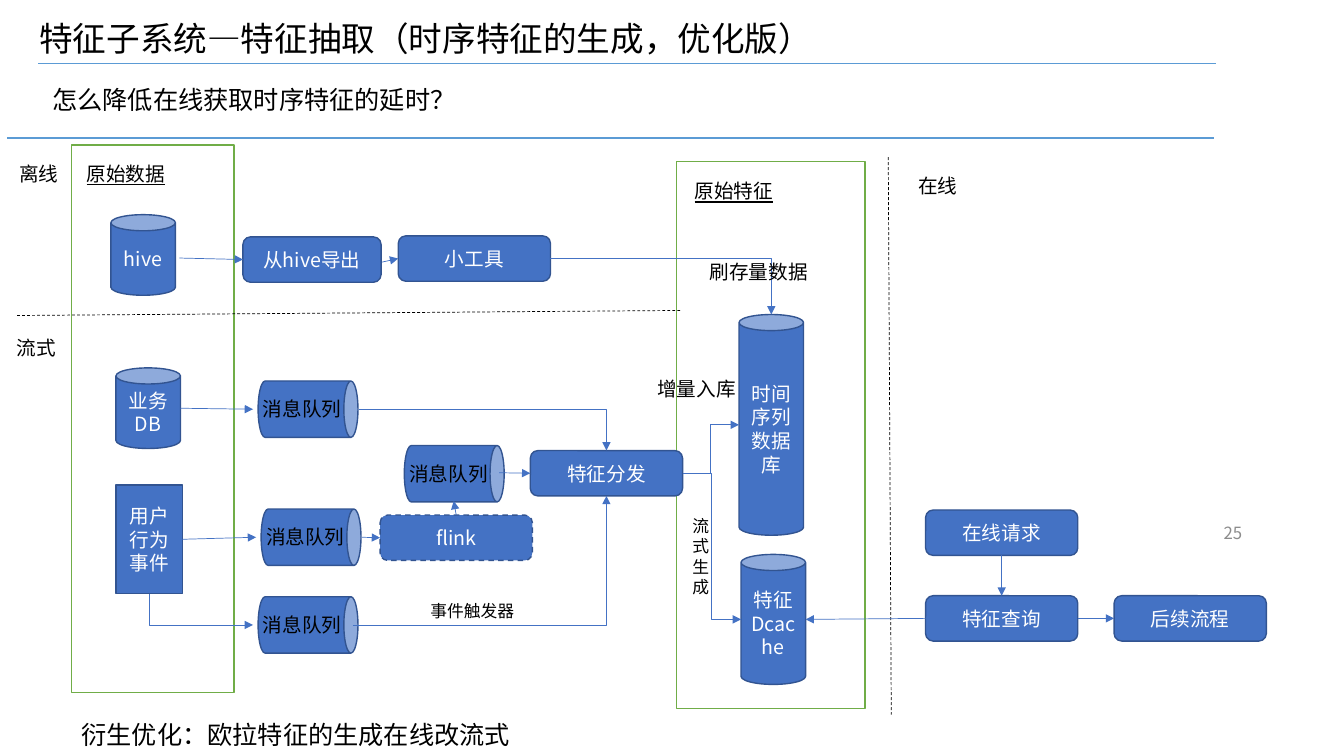
from dataclasses import dataclass

from lxml import etree
from pptx import Presentation
from pptx import util as u
from pptx.dml.color import RGBColor
from pptx.enum import dml, shapes, text
from pptx.oxml import ns

KIND = shapes.MSO_SHAPE
TOP, LEFT, BOTTOM, RIGHT = range(4)


class Theme:
    font = "Noto Sans CJK SC"
    white, black, grey = "FFFFFF", "000000", "8C8C8C"
    blue, outline, green, rule = "4472C4", "325491", "70AD47", "5B9BD5"
    title, lead, body, small = 24, 18, 14, 12
    border, flow = 1, 0.5
    box_size = (1.51, 0.45)
    can_size = (0.64, 0.8)


@dataclass
class Region:
    """A box on the slide, in inches; parts are placed from its top left."""
    slide: object
    left: float
    top: float
    width: float = 0
    height: float = 0

    def place(self, x, y, width, height):
        return [u.Inches(v) for v in (self.left + x, self.top + y, width, height)]


def style_line(line, color, width, dashed=False):
    line.color.rgb = RGBColor.from_string(color)
    line.width = u.Pt(width)
    if dashed:
        line.dash_style = dml.MSO_LINE.DASH


def write(frame, words, size, color, align, underline=None):
    paragraph = frame.paragraphs[0]
    paragraph.alignment = align
    run = paragraph.add_run()
    run.text = words
    font = run.font
    font.size, font.name, font.underline = u.Pt(size), Theme.font, underline
    font.color.rgb = RGBColor.from_string(color)
    east_asian = etree.SubElement(font._element, ns.qn("a:ea"))
    east_asian.set("typeface", Theme.font)


def add_label(region, words, x, y, width, height=0.34, size=Theme.body, wrap=False,
              underline=None, color=Theme.black, align=text.PP_ALIGN.LEFT, shapes_in=None):
    target = region.slide.shapes if shapes_in is None else shapes_in
    label = target.add_textbox(*region.place(x, y, width, height))
    label.text_frame.word_wrap = wrap
    label.text_frame.auto_size = text.MSO_AUTO_SIZE.SHAPE_TO_FIT_TEXT
    write(label.text_frame, words, size, color, align, underline)
    return label


def add_block(region, kind, x, y, size, words="", fill=Theme.blue,
              outline=Theme.outline, dashed=False, shapes_in=None):
    target = region.slide.shapes if shapes_in is None else shapes_in
    shape = target.add_shape(kind, *region.place(x, y, *size))
    shape.shadow.inherit = False
    shape.fill.solid()
    shape.fill.fore_color.rgb = RGBColor.from_string(fill)
    style_line(shape.line, outline, Theme.border, dashed)
    if words:
        shape.text_frame.word_wrap = True
        shape.text_frame.vertical_anchor = text.MSO_ANCHOR.MIDDLE
        write(shape.text_frame, words, Theme.body, Theme.white, text.PP_ALIGN.CENTER)
    return shape


def add_step(region, x, y, words, width=Theme.box_size[0], dashed=False):
    return add_block(region, KIND.ROUNDED_RECTANGLE, x, y,
                     (width, Theme.box_size[1]), words, dashed=dashed)


def add_queue(region, x, y):
    """A can lying on its side, 0.99 by 0.56, with its label."""
    group = region.slide.shapes.add_group_shape().shapes
    can = add_block(region, KIND.CAN, x + 0.215, y - 0.215, (0.56, 0.99), shapes_in=group)
    can.rotation = 90
    add_label(region, "消息队列", x - 0.05, y + 0.11, 0.99, shapes_in=group)


def add_line(slide, start, end, color, width, dashed=False,
             kind=shapes.MSO_CONNECTOR.STRAIGHT):
    points = [u.Inches(v) for v in (*start, *end)]
    line = slide.shapes.add_connector(kind, *points)
    style_line(line.line, color, width, dashed)
    etree.SubElement(line._element.spPr, ns.qn("a:effectLst"))
    return line


def middle(shape, side):
    """Middle of a shape's side, in inches."""
    x = shape.left + shape.width * {LEFT: 0, RIGHT: 1}.get(side, 0.5)
    y = shape.top + shape.height * {TOP: 0, BOTTOM: 1}.get(side, 0.5)
    return u.Emu(int(x)).inches, u.Emu(int(y)).inches


def add_arrow(slide, start, end, bends=0, down_first=False):
    """Arrow between two ends, each a point or a (shape, side) pair."""
    joined = [not isinstance(e[0], (int, float)) for e in (start, end)]
    points = [middle(*e) if j else e for e, j in zip((start, end), joined)]
    kind = shapes.MSO_CONNECTOR.ELBOW if bends else shapes.MSO_CONNECTOR.STRAIGHT
    arrow = add_line(slide, *points, Theme.blue, Theme.flow, kind=kind)
    line = arrow.line._get_or_add_ln()
    etree.SubElement(line, ns.qn("a:tailEnd")).set("type", "triangle")
    if not bends:
        for end_, j, glue in zip((start, end), joined,
                                 (arrow.begin_connect, arrow.end_connect)):
            if j and end_[0].auto_shape_type != KIND.CAN:
                glue(*end_)
    if bends == 1:
        arrow._element.spPr.find(ns.qn("a:prstGeom")).set("prst", "bentConnector2")
    if down_first:
        width, height = arrow.width, arrow.height
        shift = (width - height) // 2
        arrow.left, arrow.top = arrow.left + shift, arrow.top - shift
        arrow.width, arrow.height = height, width
        transform = arrow._element.spPr.find(ns.qn("a:xfrm"))
        transform.set("rot", str(270 * 60000))
        transform.set("flipH", "1")


def draw_header(region):
    for x, y, length in ((0.38, 0.63, 11.68), (0.07, 1.37, 11.97)):
        x, y = region.left + x, region.top + y
        add_line(region.slide, (x, y), (x + length, y), Theme.rule, Theme.border)
    add_label(region, "特征子系统—特征抽取（时序特征的生成，优化版）",
              0.29, 0.13, 10.58, 0.5, Theme.title, wrap=True)
    add_label(region, "怎么降低在线获取时序特征的延时？", 0.42, 0.79, 4.24, 0.71, Theme.lead)


def draw_frame(region, heading, x, y):
    add_block(region, KIND.RECTANGLE, 0, 0, (region.width, region.height),
              fill=Theme.white, outline=Theme.green)
    add_label(region, heading, x, y, 0.99, underline=True)


def draw_sources(region):
    draw_frame(region, "原始数据", 0.05, 0.12)
    add_block(region, KIND.CAN, 0.39, 0.69, Theme.can_size, "hive")
    database = add_block(region, KIND.CAN, 0.44, 2.21, Theme.can_size, "业务DB")
    events = add_block(region, KIND.RECTANGLE, 0.44, 3.37, (0.66, 1.08), "用户行为事件")
    return database, events


def draw_features(region):
    draw_frame(region, "原始特征", 0.08, 0.13)
    series = add_block(region, KIND.CAN, 0.62, 1.52, (0.64, 2.19), "时间序列数据库")
    cache = add_block(region, KIND.CAN, 0.64, 3.9, (0.64, 1.29), "特征Dcache")
    return series, cache


def draw_offline(region, series):
    slide = region.slide
    add_label(region, "离线", 0.02, 0.12, 0.59)
    export = add_step(region, 2.34, 0.91, "从hive导出", width=1.37)
    tool = add_step(region, 3.88, 0.9, "小工具")
    add_arrow(slide, (1.78, 2.56), (export, LEFT))
    add_arrow(slide, (3.79, 2.6), (tool, LEFT))
    add_arrow(slide, (tool, RIGHT), (series, TOP), bends=1)
    add_label(region, "刷存量数据", 6.87, 1.09, 1.22)
    add_line(slide, (0.17, 3.13), (6.75, 3.08), Theme.black, Theme.flow, dashed=True)


def draw_streaming(region, database, events, series, cache):
    slide = region.slide
    add_label(region, "流式", 0, 0.2, 0.59)
    for x, y in ((2.49, 0.7), (2.52, 1.97), (2.49, 2.84), (3.94, 1.34)):
        add_queue(region, x, y)
    dispatch = add_step(region, 5.19, 1.39, "特征分发")
    flink = add_step(region, 3.7, 2.03, "flink", dashed=True)
    add_arrow(slide, (database, RIGHT), (2.51, 4.06))
    add_arrow(slide, (events, RIGHT), (2.54, 5.33))
    add_arrow(slide, (events, BOTTOM), (2.51, 6.2), bends=1, down_first=True)
    add_arrow(slide, (3.59, 5.33), (flink, LEFT))
    add_arrow(slide, (flink, TOP), (4.5, 4.97))
    add_arrow(slide, (4.95, 4.69), (dispatch, LEFT))
    add_arrow(slide, (3.56, 4.06), (dispatch, TOP), bends=1)
    add_arrow(slide, (3.5, 6.2), (dispatch, BOTTOM), bends=1)
    for store in (series, cache):
        add_arrow(slide, (dispatch, RIGHT), (store, LEFT), bends=2)
    add_label(region, "增量入库", 6.35, 0.61, 0.99)
    add_label(region, "流式生成", 6.7, 1.99, 0.3, 0.91, Theme.small, wrap=True)
    add_label(region, "事件触发器", 4.1, 2.83, 1.07, 0.3, Theme.small, wrap=True)


def draw_online(region, cache):
    slide = region.slide
    add_line(slide, (region.left, region.top), (region.left + 0.03, region.top + 5.53),
             Theme.black, Theme.flow, dashed=True)
    add_label(region, "在线", 0.2, 0.12, 0.59)
    request = add_step(region, 0.37, 3.5, "在线请求")
    query = add_step(region, 0.37, 4.35, "特征查询")
    following = add_step(region, 2.24, 4.35, "后续流程")
    add_arrow(slide, (request, BOTTOM), (query, TOP))
    add_arrow(slide, (query, LEFT), (cache, RIGHT))
    add_arrow(slide, (query, RIGHT), (following, LEFT))


def draw_footer(region):
    add_label(region, "衍生优化：欧拉特征的生成在线改流式", 0.71, 7.09, 4.49, 0.4, Theme.lead)
    number = add_label(region, "25", 9.42, 5.09, 3, 0.4, Theme.small, wrap=True,
                       color=Theme.grey, align=text.PP_ALIGN.RIGHT)
    number.text_frame.auto_size = text.MSO_AUTO_SIZE.NONE
    number.text_frame.vertical_anchor = text.MSO_ANCHOR.MIDDLE


def main():
    presentation = Presentation()
    presentation.slide_width, presentation.slide_height = u.Inches(13.33), u.Inches(7.5)
    slide = presentation.slides.add_slide(presentation.slide_layouts[6])
    draw_header(Region(slide, 0, 0))
    series, cache = draw_features(Region(slide, 6.71, 1.6, 1.87, 5.43))
    database, events = draw_sources(Region(slide, 0.71, 1.44, 1.61, 5.43))
    draw_offline(Region(slide, 0.07, 1.44), series)
    draw_streaming(Region(slide, 0.07, 3.08), database, events, series, cache)
    draw_online(Region(slide, 8.81, 1.56), cache)
    draw_footer(Region(slide, 0, 0))
    presentation.save("out.pptx")


if __name__ == "__main__":
    main()
